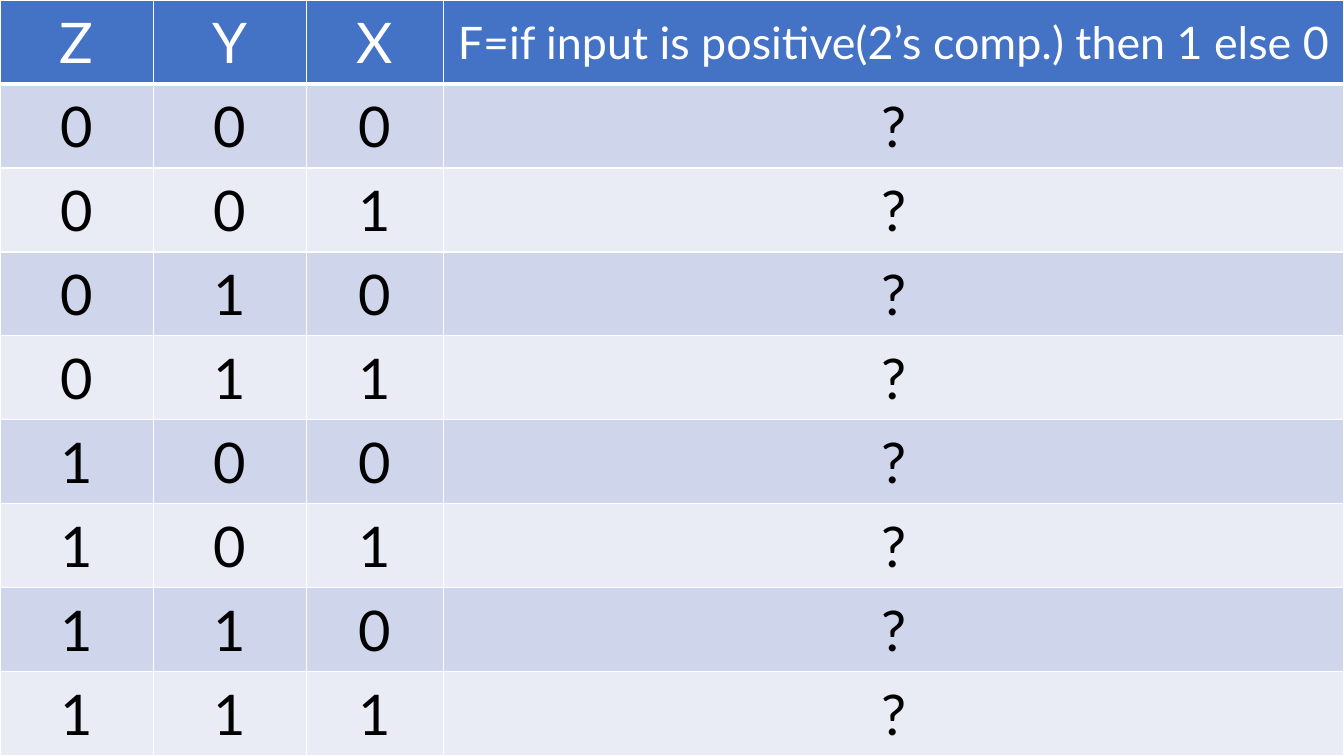
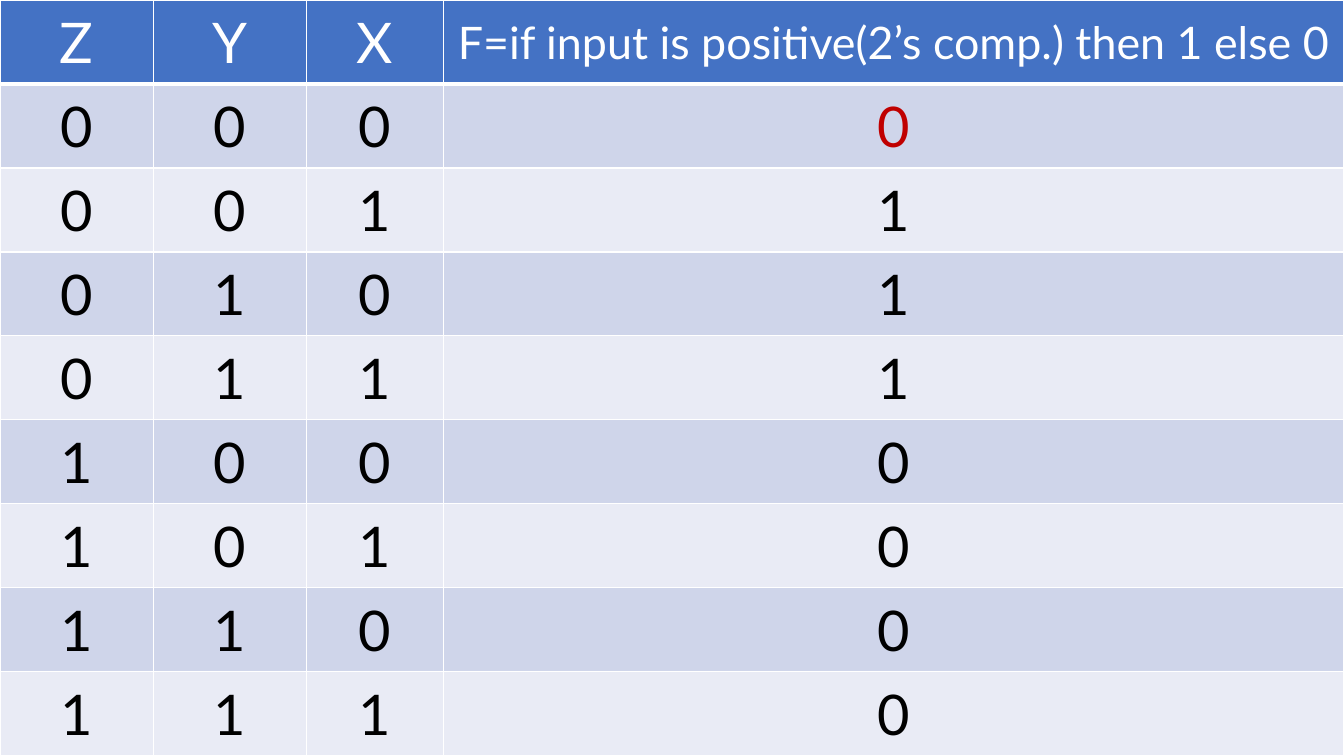
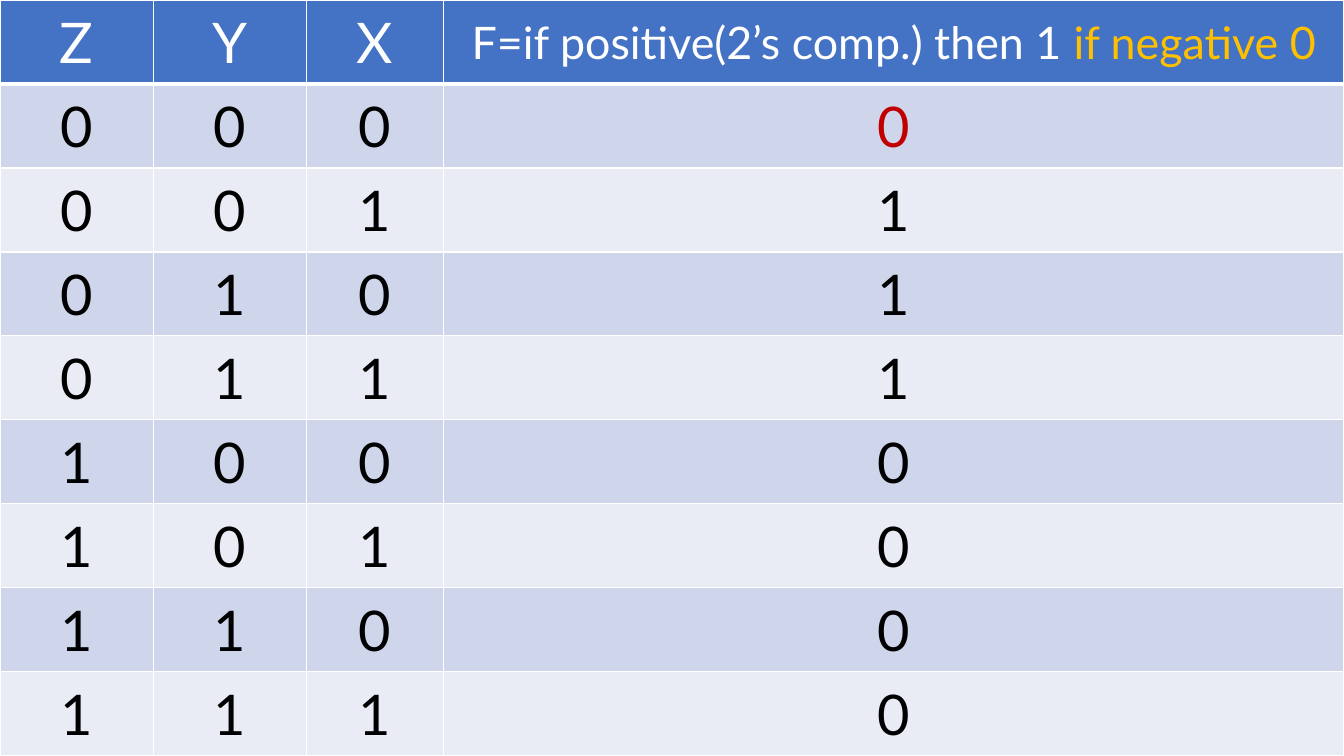
from dataclasses import dataclass
from itertools import product

from lxml.etree import SubElement
from pptx import Presentation
from pptx.dml.color import RGBColor
from pptx.enum.text import MSO_ANCHOR as Anchor, PP_ALIGN as Align
from pptx.oxml.ns import qn
from pptx.slide import Slide
from pptx.table import _Cell as Cell
from pptx.util import Pt

COLORS = {
    "header": "4472C4",
    "odd_row": "CFD5EA",
    "even_row": "E9EBF5",
    "white": "FFFFFF",
    "black": "000000",
    "red": "C00000",
    "gold": "FFC000",
}
FONT = "Lato"
PAGE_WIDTH, PAGE_HEIGHT = 960, 540
INPUT_WIDTHS = (109.5, 109.5, 98)
COLUMN_WIDTHS = (*INPUT_WIDTHS, PAGE_WIDTH - sum(INPUT_WIDTHS))
INPUT_NAMES = "ZYX"
INPUT_ROWS = list(product("01", repeat=len(INPUT_NAMES)))
ROW_HEIGHT = PAGE_HEIGHT / (len(INPUT_ROWS) + 1)
THIN, THICK = 1, 3


@dataclass(frozen=True)
class Span:
    text: str
    color: str = "black"
    size: int = 40


@dataclass(frozen=True)
class TruthTable:
    heading: tuple[Span, ...]
    outputs: tuple[Span, ...]


QUESTION = (Span("F=if input is positive(2’s comp.) then 1 else 0", "white", 32),)
CLARIFIED = (
    Span("F=if positive(2’s comp.) then 1 ", "white", 32),
    Span("if negative 0", "gold", 32),
)
UNKNOWN = (Span("?"),) * len(INPUT_ROWS)
ANSWERS = (Span("0", "red"), *map(Span, "1110000"))

TRUTH_TABLES = (
    TruthTable(QUESTION, UNKNOWN),
    TruthTable(QUESTION, ANSWERS),
    TruthTable(CLARIFIED, ANSWERS),
)


def rgb(name: str) -> RGBColor:
    return RGBColor.from_string(COLORS[name])


def set_borders(cell: Cell, top: int, bottom: int) -> None:
    properties = cell._tc.get_or_add_tcPr()
    widths = {"lnL": THIN, "lnR": THIN, "lnT": top, "lnB": bottom}
    for side, width in widths.items():
        line = SubElement(properties, qn(f"a:{side}"), w=str(Pt(width)))
        fill = SubElement(line, qn("a:solidFill"))
        SubElement(fill, qn("a:srgbClr"), val=COLORS["white"])


def write_cell(cell: Cell, spans: tuple[Span, ...], fill: str) -> None:
    cell.fill.solid()
    cell.fill.fore_color.rgb = rgb(fill)
    cell.vertical_anchor = Anchor.MIDDLE
    para = cell.text_frame.paragraphs[0]
    para.alignment = Align.CENTER
    for span in spans:
        run = para.add_run()
        run.text = span.text
        run.font.color.rgb = rgb(span.color)
        formats = {"name": FONT, "size": Pt(span.size), "bold": False}
        for attribute, value in formats.items():
            setattr(run.font, attribute, value)


def draw_truth_table(page: Slide, truth: TruthTable) -> None:
    header = [(Span(name, "white"),) for name in INPUT_NAMES] + [truth.heading]
    rows = [header] + [
        [(Span(bit),) for bit in bits] + [(output,)]
        for bits, output in zip(INPUT_ROWS, truth.outputs)
    ]
    table = page.shapes.add_table(
        len(rows), len(COLUMN_WIDTHS), Pt(0), Pt(0), Pt(PAGE_WIDTH), Pt(PAGE_HEIGHT)
    ).table
    for column, width in zip(table.columns, COLUMN_WIDTHS):
        column.width = Pt(width)
    for index, row in enumerate(rows):
        table.rows[index].height = Pt(ROW_HEIGHT)
        if index == 0:
            fill = "header"
        else:
            fill = "odd_row" if index % 2 else "even_row"
        # Both cells that meet under the header carry the thick rule.
        top = THICK if index == 1 else THIN
        bottom = THICK if index == 0 else THIN
        for position, spans in enumerate(row):
            cell = table.cell(index, position)
            set_borders(cell, top, bottom)
            write_cell(cell, spans, fill)


def main() -> None:
    deck = Presentation()
    deck.slide_width, deck.slide_height = Pt(PAGE_WIDTH), Pt(PAGE_HEIGHT)
    blank_layout = deck.slide_layouts.get_by_name("Blank")
    for truth in TRUTH_TABLES:
        draw_truth_table(deck.slides.add_slide(blank_layout), truth)
    deck.save("out.pptx")


if __name__ == "__main__":
    main()
